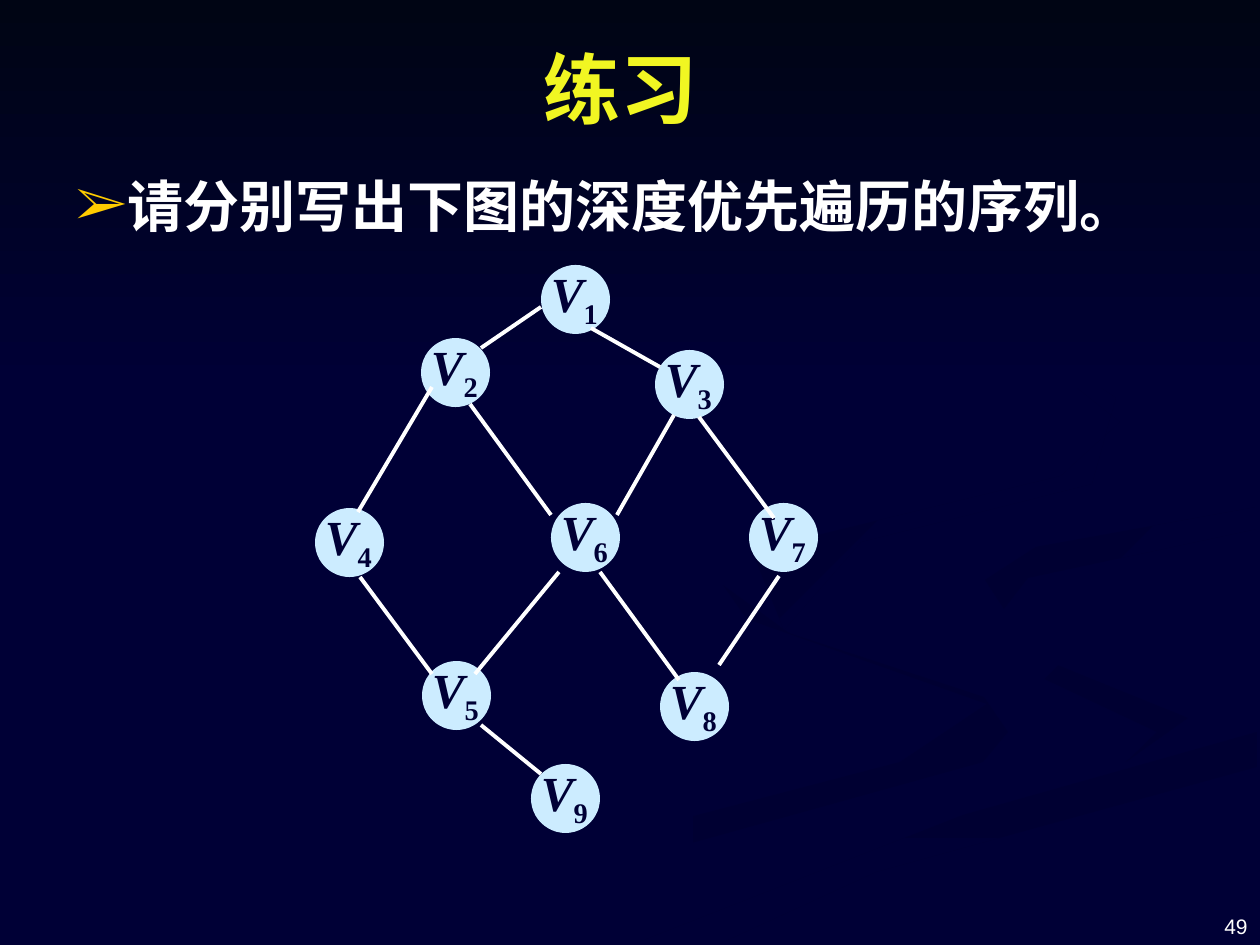
from lxml.etree import SubElement
from pptx import Presentation
from pptx.dml.color import RGBColor
from pptx.enum.shapes import MSO_CONNECTOR, MSO_SHAPE
from pptx.enum.text import MSO_ANCHOR, PP_ALIGN
from pptx.oxml.ns import qn
from pptx.util import Pt

SCALE = 914400 / 126
theme = {
    "back": "000036", "dusk": "000514", "shade": "000032", "title": "F1F622",
    "text": "FFFFFF", "mark": "FFCC00", "node": "CCECFF",
    "serif": "Times New Roman", "sans": "Arial",
    "head": 44, "body": 32, "label": 28, "page": 12, "edge": 2.25,
}


def px(*sizes):
    return [round(size * SCALE) for size in sizes]


def style(font, size, color, name="serif", bold=True):
    font.size = Pt(theme[size])
    font.name = theme[name]
    font.bold = bold
    font.color.rgb = RGBColor.from_string(theme[color])


deck = Presentation()
deck.slide_width, deck.slide_height = px(1260, 945)
slide = deck.slides.add_slide(deck.slide_layouts[1])
shapes = slide.shapes
slide.background.fill.solid()
slide.background.fill.fore_color.rgb = RGBColor.from_string(theme["back"])

waves = [
    ("back", "shade", 0, [
        (984, 697), (789, 633), (723, 585), (747, 619), (987, 704), (900, 762),
        (629, 833), (378, 944), (455, 944), (670, 849), (983, 762), (1008, 732)]),
    ("back", "shade", 45, [
        (1188, 718), (998, 641), (912, 585), (1004, 660), (1157, 732), (1126, 762)]),
    ("shade", "back", 90, [
        (634, 944), (719, 944), (876, 872), (1257, 767), (1257, 732), (963, 815)]),
    ("shade", "back", 45, [
        (985, 580), (1004, 609), (1028, 578), (1257, 529), (1257, 507), (1036, 547)]),
    ("shade", "back", 45, [
        (861, 542), (1092, 484), (1116, 398), (960, 294), (1120, 422), (1061, 476),
        (752, 551), (784, 630)]),
    ("dusk", "back", 90, [(0, 0), (0, 388), (1260, 388), (1260, 0)]),
]
for start, end, angle, points in waves:
    pen = shapes.build_freeform(*points[0], scale=SCALE)
    pen.add_line_segments(points[1:], close=True)
    wave = pen.convert_to_shape()
    wave.shadow.inherit = False
    wave.line.fill.background()
    wave.fill.gradient()
    wave.fill.gradient_angle = (360 - angle) % 360
    for stop, color, place in zip(wave.fill.gradient_stops, (start, end), (0, 1)):
        stop.color.rgb = RGBColor.from_string(theme[color])
        stop.position = place

title, body = shapes.title, slide.placeholders[1]
for holder, box, words, size, color in [
    (title, (54, 20, 1134, 135), "练习", "head", "title"),
    (body, (63, 165, 1134, 735), "请分别写出下图的深度优先遍历的序列。", "body", "text"),
]:
    shapes._spTree.append(holder._element)
    holder.left, holder.top, holder.width, holder.height = px(*box)
    holder.text_frame.text = words
    style(holder.text_frame.paragraphs[0].runs[0].font, size, color)
title.text_frame.vertical_anchor = MSO_ANCHOR.MIDDLE
title.text_frame.paragraphs[0].alignment = PP_ALIGN.CENTER

item = body.text_frame.paragraphs[0]
item.space_before = Pt(0)
props = item._p.get_or_add_pPr()
indent = px(48)[0]
props.set("marL", str(indent))
props.set("indent", str(-indent))
SubElement(SubElement(props, qn("a:buClr")), qn("a:srgbClr"), val=theme["mark"])
SubElement(props, qn("a:buFont"), typeface=theme["serif"])
SubElement(props, qn("a:buChar"), char="➢")

page = shapes.add_textbox(*px(966, 879, 294, 66)).text_frame
page.word_wrap = True
page.vertical_anchor = MSO_ANCHOR.BOTTOM
page.text = "49"
page.paragraphs[0].alignment = PP_ALIGN.RIGHT
style(page.paragraphs[0].runs[0].font, "page", "text", "sans", False)

nodes = [
    (541, 265), (421, 338), (655, 350), (315, 508), (422, 661),
    (551, 503), (749, 503), (660, 672), (531, 764),
]
for index, (left, top) in enumerate(nodes, 1):
    group = shapes.add_group_shape()
    disc = group.shapes.add_shape(MSO_SHAPE.OVAL, *px(left, top, 69, 69))
    disc.shadow.inherit = False
    disc.fill.solid()
    disc.fill.fore_color.rgb = RGBColor.from_string(theme["node"])
    disc.line.fill.background()
    label = group.shapes.add_textbox(*px(left + 9, top - 6, 64, 82)).text_frame
    label.word_wrap = True
    label.margin_left, label.margin_top, label.margin_right, label.margin_bottom = px(1, 4, 0, 1)
    line = label.paragraphs[0]
    line.alignment = PP_ALIGN.JUSTIFY
    for words, slant in (("V", True), (str(index), False)):
        run = line.add_run()
        run.text = words
        style(run.font, "label", "back")
        run.font.italic = slant
    run.font._element.set("baseline", "-25000")

edges = [
    (541, 307, 481, 348), (591, 328, 660, 367), (432, 387, 358, 512),
    (470, 404, 551, 515), (674, 415, 617, 515), (699, 417, 774, 518),
    (360, 577, 432, 674), (475, 674, 559, 572), (679, 680, 600, 572),
    (779, 576, 719, 665), (541, 774, 481, 725),
]
for ends in edges:
    edge = shapes.add_connector(MSO_CONNECTOR.STRAIGHT, *px(*ends))
    edge.line.width = Pt(theme["edge"])
    edge.line.color.rgb = RGBColor.from_string(theme["text"])
    SubElement(edge._element.spPr, qn("a:effectLst"))

deck.save("out.pptx")
